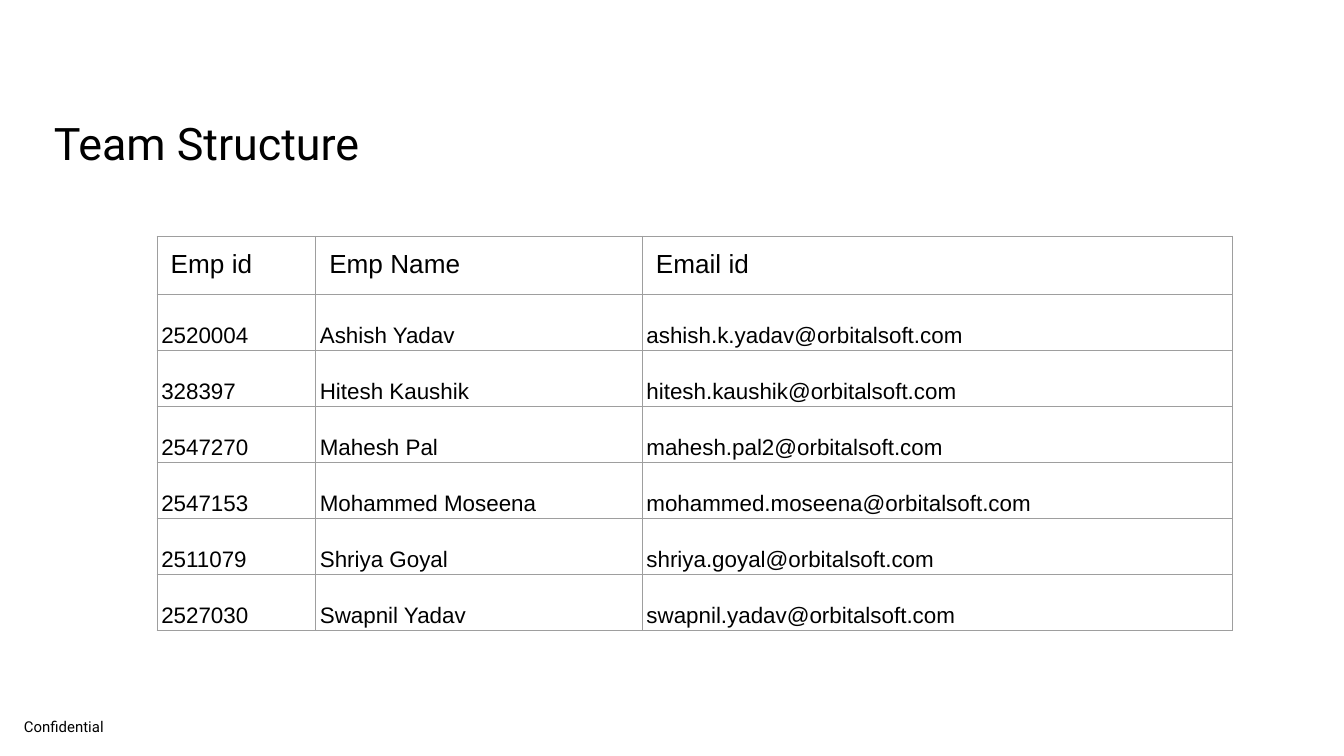
from lxml import etree
from pptx import Presentation
from pptx.dml.color import RGBColor
from pptx.enum.text import MSO_ANCHOR, MSO_AUTO_SIZE, PP_ALIGN
from pptx.oxml.ns import qn
from pptx.util import Inches, Pt

LEFT = PP_ALIGN.LEFT
TOP, BOTTOM = MSO_ANCHOR.TOP, MSO_ANCHOR.BOTTOM
NO_AUTOFIT = MSO_AUTO_SIZE.NONE
TITLE_ONLY = 5

COLORS = {"text": "000000", "border": "9E9E9E", "cell": "FFFFFF"}
WIDTH = 10
HEIGHT = WIDTH * 9 / 16
COLUMN_WIDTHS = [1.18, 2.43, 4.39]
ROW_HEIGHT = WIDTH / 24
BORDER_POINTS = 0.75

HEADERS = ("Emp id", "Emp Name", "Email id")
MAIL_DOMAIN = "orbitalsoft.com"
TEAM = [
    ("2520004", "Ashish Yadav", "ashish.k.yadav"),
    ("328397", "Hitesh Kaushik", "hitesh.kaushik"),
    ("2547270", "Mahesh Pal", "mahesh.pal2"),
    ("2547153", "Mohammed Moseena", "mohammed.moseena"),
    ("2511079", "Shriya Goyal", "shriya.goyal"),
    ("2527030", "Swapnil Yadav", "swapnil.yadav"),
]


def write_text(frame, text, size, font_name):
    frame.text = text
    para = frame.paragraphs[0]
    para.alignment = LEFT
    para.font.size = Pt(size)
    para.font.name = font_name
    para.font.color.rgb = RGBColor.from_string(COLORS["text"])


def set_margins(holder, horizontal, vertical):
    """Set the insets of a text frame or a table cell, in inches."""
    holder.margin_left = holder.margin_right = Inches(horizontal)
    holder.margin_top = holder.margin_bottom = Inches(vertical)


def place_title(slide, text):
    title = slide.shapes.title
    title.left, title.top = Inches(0.3), Inches(0.76)
    title.width, title.height = Inches(3.28), Inches(0.61)
    frame = title.text_frame
    frame.word_wrap = True
    frame.auto_size = NO_AUTOFIT
    frame.vertical_anchor = TOP
    set_margins(frame, 0.1, 0.1)
    write_text(frame, text, 24, "Roboto")


def add_footer(slide, text):
    box = slide.shapes.add_textbox(
        Inches(0.08), Inches(5.29), Inches(2.33), Inches(0.27))
    frame = box.text_frame
    frame.word_wrap = True
    set_margins(frame, 0.1, 0.05)
    write_text(frame, text, 8, "Roboto")


def add_borders(cell):
    properties = cell._tc.get_or_add_tcPr()
    for index, side in enumerate(("lnL", "lnR", "lnT", "lnB")):
        line = etree.Element(qn(f"a:{side}"), w=str(Pt(BORDER_POINTS)))
        fill = etree.SubElement(line, qn("a:solidFill"))
        etree.SubElement(fill, qn("a:srgbClr"), val=COLORS["border"])
        properties.insert(index, line)


def format_cell(cell, text, is_header):
    write_text(cell.text_frame, text, 14 if is_header else 12, "Arial")
    cell.vertical_anchor = TOP if is_header else BOTTOM
    set_margins(cell, *((0.1, 0.1) if is_header else (0.03, 0.02)))
    cell.fill.solid()
    cell.fill.fore_color.rgb = RGBColor.from_string(COLORS["cell"])
    add_borders(cell)


def add_team_table(slide):
    rows = [HEADERS] + [
        (number, name, f"{user}@{MAIL_DOMAIN}") for number, name, user in TEAM]
    table = slide.shapes.add_table(
        len(rows), len(COLUMN_WIDTHS), Inches(1.17), Inches(1.76),
        Inches(sum(COLUMN_WIDTHS)), Inches(ROW_HEIGHT * len(rows))).table
    for column, width in zip(table.columns, COLUMN_WIDTHS):
        column.width = Inches(width)
    for row_index, values in enumerate(rows):
        table.rows[row_index].height = Inches(ROW_HEIGHT)
        for column_index, value in enumerate(values):
            format_cell(table.cell(row_index, column_index), value,
                        is_header=row_index == 0)


def main():
    deck = Presentation()
    deck.slide_width, deck.slide_height = Inches(WIDTH), Inches(HEIGHT)
    slide = deck.slides.add_slide(deck.slide_layouts[TITLE_ONLY])
    add_footer(slide, "Confidential")
    add_team_table(slide)
    place_title(slide, "Team Structure")
    deck.save("out.pptx")


if __name__ == "__main__":
    main()
